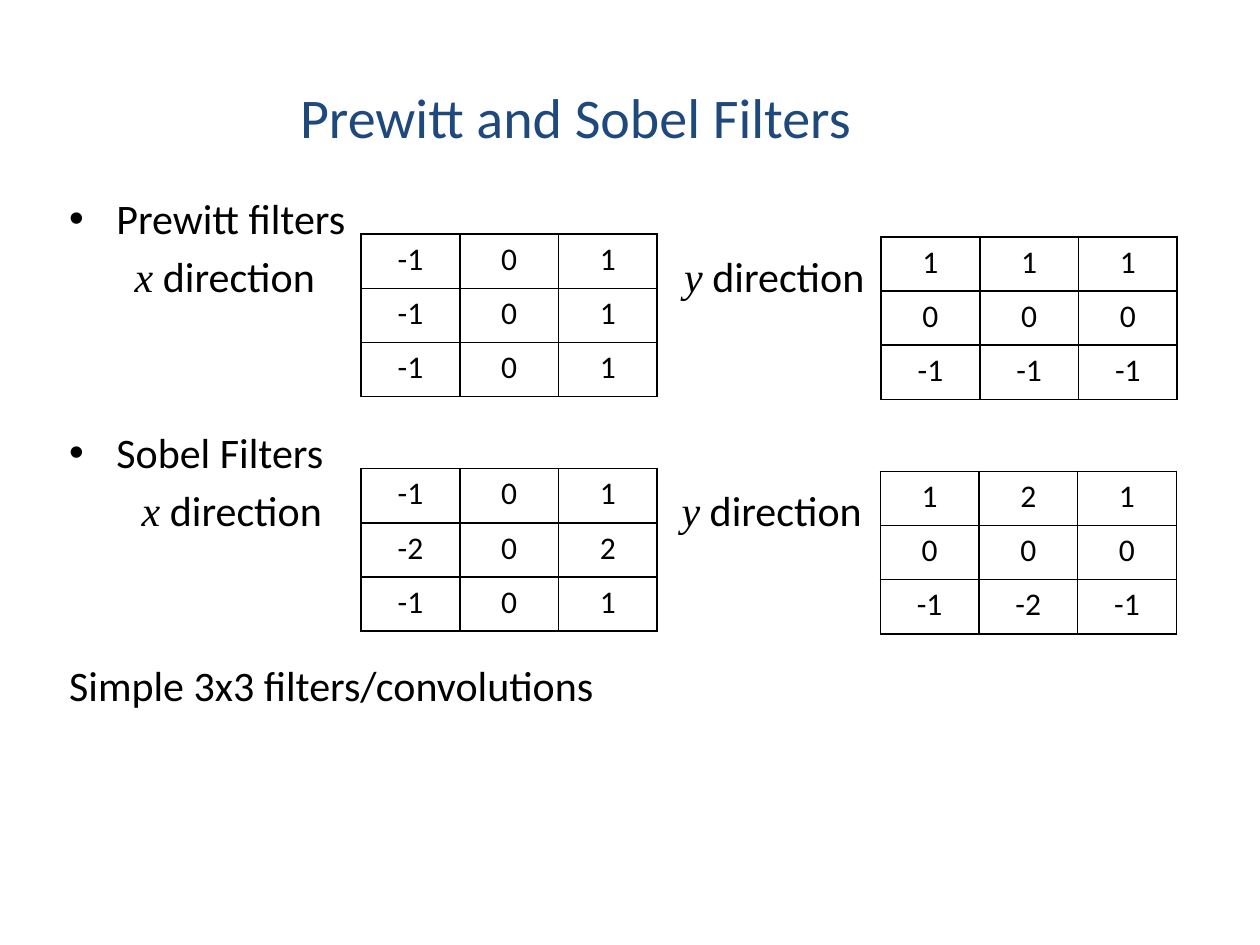
from lxml.etree import SubElement
from pptx import Presentation
from pptx.dml.color import RGBColor
from pptx.enum.text import MSO_ANCHOR as ANCHOR, PP_ALIGN as ALIGN
from pptx.oxml.ns import qn
from pptx.util import Pt

NAVY = RGBColor(0x1F, 0x49, 0x7D)
BLACK = RGBColor(0, 0, 0)
SANS, SERIF = "Calibri", "Times New Roman"
LINE_GAP, GROUP_GAP = 4.4, 71.5
CELL_W, CELL_H = 56.4, 30.96

TABLES = [
    (206.4, 133.8, [(-1, 0, 1), (-1, 0, 1), (-1, 0, 1)]),
    (503.5, 135.3, [(1, 1, 1), (0, 0, 0), (-1, -1, -1)]),
    (206.4, 267.8, [(-1, 0, 1), (-2, 0, 2), (-1, 0, 1)]),
    (503, 269.3, [(1, 2, 1), (0, 0, 0), (-1, -2, -1)]),
]


def add_run(p, text, size, color=BLACK, name=SANS, italic=False):
    """Append a formatted run to a paragraph."""
    r = p.add_run()
    r.text = text
    for key, value in {"size": Pt(size), "name": name, "italic": italic}.items():
        setattr(r.font, key, value)
    r.font.color.rgb = color


def add_text_frame(s, x, y, w, h, anchor):
    """Add a wrapping text box and return its frame."""
    tf = s.shapes.add_textbox(Pt(x), Pt(y), Pt(w), Pt(h)).text_frame
    for key, value in {"word_wrap": True, "vertical_anchor": anchor}.items():
        setattr(tf, key, value)
    return tf


def add_title(s, x, y, w, h, text):
    """Place the centred slide title."""
    p = add_text_frame(s, x, y, w, h, ANCHOR.MIDDLE).paragraphs[0]
    p.alignment = ALIGN.CENTER
    add_run(p, text, 32, NAVY)


def add_bullet(p, text):
    """Write a bulleted filter heading with a hanging indent."""
    pPr = p._p.get_or_add_pPr()
    pPr.set("marL", str(Pt(27)))
    pPr.set("indent", str(Pt(-27)))
    SubElement(pPr, qn("a:buFont"), typeface="Arial")
    SubElement(pPr, qn("a:buChar"), char="•")
    add_run(p, text, 24)


def add_directions(p, stops):
    """Write the x and y direction labels at two tab stops."""
    tabs = SubElement(p._p.get_or_add_pPr(), qn("a:tabLst"))
    for axis, stop in zip("xy", stops):
        SubElement(tabs, qn("a:tab"), pos=str(Pt(stop)), algn="l")
        add_run(p, "\t", 24)
        add_run(p, axis, 24, name=SERIF, italic=True)
        add_run(p, " direction", 24)


def add_body(s, x, y, w, h):
    """Place the filter headings, direction labels and closing line."""
    tf = add_text_frame(s, x, y, w, h, ANCHOR.TOP)
    groups = [("Prewitt filters", (37.5, 351.5)), ("Sobel Filters", (41.5, 350))]
    for i, (heading, stops) in enumerate(groups):
        p = tf.add_paragraph() if i else tf.paragraphs[0]
        add_bullet(p, heading)
        if i:
            p.space_before = Pt(GROUP_GAP)
        p = tf.add_paragraph()
        add_directions(p, stops)
        p.space_before = Pt(LINE_GAP)
    p = tf.add_paragraph()
    p.space_before = Pt(GROUP_GAP)
    add_run(p, "Simple 3x3 filters/convolutions", 24)


def add_borders(cell):
    """Draw a thin black line on every side of a cell."""
    tcPr = cell._tc.get_or_add_tcPr()
    for i, side in enumerate(("lnL", "lnR", "lnT", "lnB")):
        ln = tcPr.makeelement(qn(f"a:{side}"), {"w": str(Pt(1))})
        fill = SubElement(ln, qn("a:solidFill"))
        SubElement(fill, qn("a:srgbClr"), val=str(BLACK))
        tcPr.insert(i, ln)


def add_filter(s, x, y, rows):
    """Place one filter kernel as a bordered table."""
    n_rows, n_cols = len(rows), len(rows[0])
    table = s.shapes.add_table(n_rows, n_cols, Pt(x), Pt(y),
                               Pt(n_cols * CELL_W), Pt(n_rows * CELL_H)).table
    for key in ("first_row", "horz_banding"):
        setattr(table, key, False)
    for i, row in enumerate(rows):
        for j, value in enumerate(row):
            cell = table.cell(i, j)
            cell.fill.background()
            add_borders(cell)
            p = cell.text_frame.paragraphs[0]
            p.alignment = ALIGN.CENTER
            add_run(p, str(value), 18)


def main():
    """Build and save the slide."""
    prs = Presentation()
    prs.slide_width, prs.slide_height = Pt(720), Pt(540)
    s = prs.slides.add_slide(prs.slide_layouts[6])
    add_title(s, 36, 21.6, 586, 90, "Prewitt and Sobel Filters")
    add_body(s, 32.4, 106.6, 651.6, 375.8)
    for x, y, rows in TABLES:
        add_filter(s, x, y, rows)
    prs.save("out.pptx")


if __name__ == "__main__":
    main()
